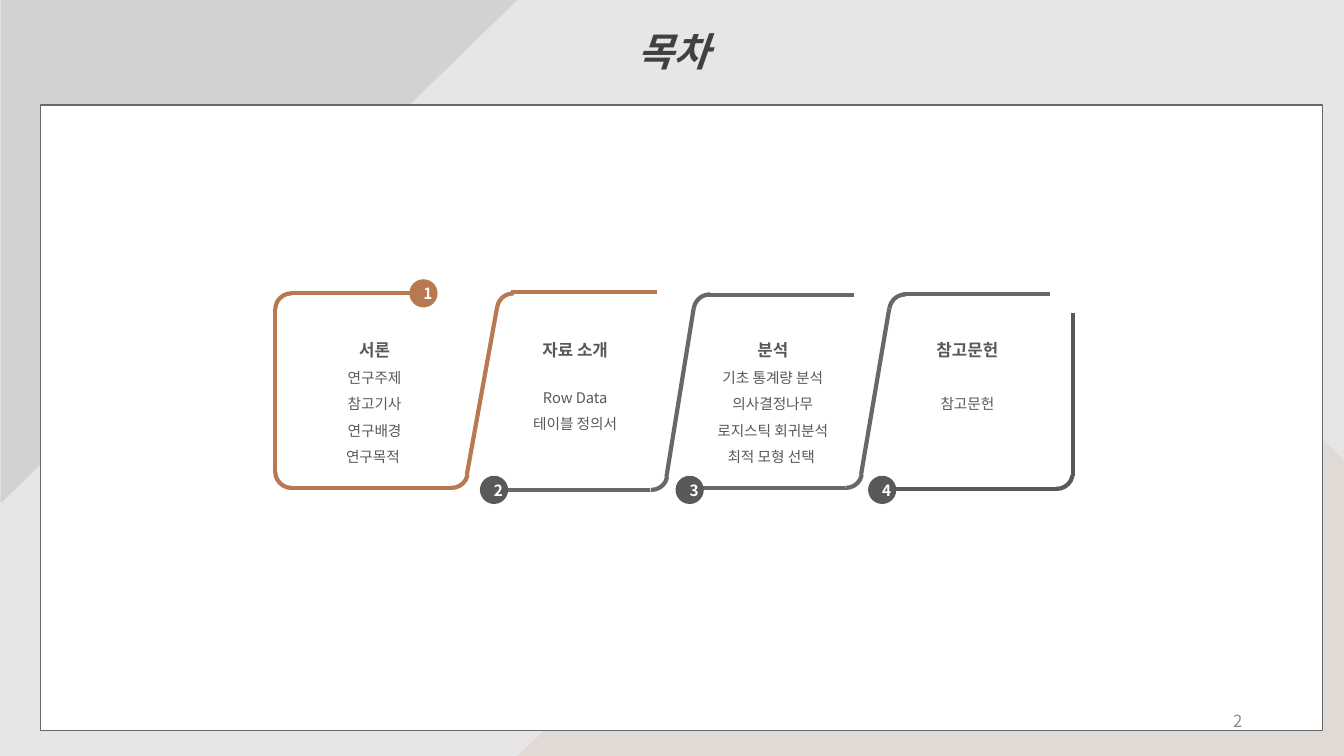
from lxml import etree
from pptx import Presentation
from pptx.dml.color import RGBColor
from pptx.enum.shapes import MSO_CONNECTOR, MSO_SHAPE
from pptx.enum.text import MSO_ANCHOR, MSO_AUTO_SIZE, PP_ALIGN
from pptx.oxml.ns import qn
from pptx.util import Inches, Pt

FONT = "Noto Sans CJK KR"
BACKGROUND = RGBColor(0xE7, 0xE5, 0xE6)
BEIGE = RGBColor(0xE1, 0xDA, 0xD4)
LIGHT_GREY = RGBColor(0xD2, 0xD2, 0xD2)
WHITE = RGBColor(0xFF, 0xFF, 0xFF)
BROWN = RGBColor(0xB8, 0x78, 0x50)
SLATE = RGBColor(0x64, 0x69, 0x6D)
DARK = RGBColor(0x59, 0x59, 0x59)
TITLE_GREY = RGBColor(0x40, 0x40, 0x40)
NUMBER_GREY = RGBColor(0x8C, 0x8C, 0x8C)

CENTER, RIGHT = PP_ALIGN.CENTER, PP_ALIGN.RIGHT
TOP, MIDDLE = MSO_ANCHOR.TOP, MSO_ANCHOR.MIDDLE
GROW = MSO_AUTO_SIZE.SHAPE_TO_FIT_TEXT
STRAIGHT = MSO_CONNECTOR.STRAIGHT
RECT, TRIANGLE = MSO_SHAPE.RECTANGLE, MSO_SHAPE.RIGHT_TRIANGLE
ARC, OVAL = MSO_SHAPE.ARC, MSO_SHAPE.OVAL

ARC_SIZE = 0.32
BADGE_SIZE = 0.28
EDGE_LENGTH = 1.59

# left, top, height, gap before the items in points, heading, items
SECTIONS = [
    (2.82, 3.22, 1.43, 0, "서론", ["연구주제", "참고기사", "연구배경", "연구목적 "]),
    (4.81, 3.22, 1.31, 14.4, "자료 소개", ["Row Data", "테이블 정의서"]),
    (6.77, 3.22, 1.43, 0, "분석",
     ["기초 통계량 분석", "의사결정나무", "로지스틱 회귀분석", "최적 모형 선택 "]),
    (8.70, 3.22, 1.09, 18.9, "참고문헌", ["참고문헌"]),
]
# bottom edge left and y, top arc left and top, top edge y, colour
LINKS = [
    (2.88, 4.84, 4.93, 2.91, 2.90, BROWN),
    (4.86, 4.86, 6.88, 2.92, 2.93, SLATE),
    (6.79, 4.84, 8.82, 2.92, 2.92, SLATE),
]
BADGES = [(4.06, 2.77, BROWN), (4.76, 4.72, DARK), (6.70, 4.72, DARK), (8.61, 4.72, DARK)]


def place(sp, left, top, width, height):
    sp.left, sp.top = Inches(left), Inches(top)
    sp.width, sp.height = Inches(width), Inches(height)


def write(p, text, size, color, bold=False, italic=False, align=CENTER,
          spacing=None, before=0):
    p.alignment = align
    p.line_spacing = spacing
    p.space_before = Pt(before)
    r = p.add_run()
    r.text = text
    r.font.size, r.font.name = Pt(size), FONT
    r.font.bold, r.font.italic = bold, italic
    r.font.color.rgb = color
    etree.SubElement(r.font._element, qn("a:ea"), typeface=FONT)


def add_shape(slide, kind, left, top, width, height, fill=None, line=None, weight=1):
    sp = slide.shapes.add_shape(kind, Inches(left), Inches(top), Inches(width), Inches(height))
    style(sp, fill, line, weight)
    return sp


def style(sp, fill, line=None, weight=1):
    sp.shadow.inherit = False
    if fill is None:
        sp.fill.background()
    else:
        sp.fill.solid()
        sp.fill.fore_color.rgb = fill
    if line is None:
        sp.line.fill.background()
    else:
        sp.line.color.rgb = line
        sp.line.width = Pt(weight)


def add_line(slide, x1, y1, x2, y2, color):
    line = slide.shapes.add_connector(STRAIGHT, Inches(x1), Inches(y1), Inches(x2), Inches(y2))
    line.line.color.rgb = color
    line.line.width = Pt(3)
    etree.SubElement(line._element.spPr, qn("a:effectLst"))


def add_corner(slide, left, top, rotation, color, start=162, end=1.2):
    sp = add_shape(slide, ARC, left, top, ARC_SIZE, ARC_SIZE, line=color, weight=3)
    sp.adjustments[0], sp.adjustments[1] = start, end
    sp.rotation = rotation


def add_bottom_edge(slide, left, y, color):
    add_line(slide, left, y, left + EDGE_LENGTH, y, color)
    add_corner(slide, left + 1.44, y - ARC_SIZE, 90, color, 168.61, 1.46)


def add_link(slide, left, bottom, arc_left, arc_top, top, color):
    add_bottom_edge(slide, left, bottom, color)
    add_line(slide, left + 1.75, bottom - 0.13, arc_left, arc_top + 0.14, color)
    add_corner(slide, arc_left, arc_top, 270, color, 166.35, 1.26)
    add_line(slide, arc_left + 0.14, top, arc_left + EDGE_LENGTH, top, color)


def add_badge(slide, number, left, top, color):
    sp = add_shape(slide, OVAL, left, top, BADGE_SIZE, BADGE_SIZE, fill=color)
    sp.text_frame.vertical_anchor = MIDDLE
    write(sp.text_frame.paragraphs[0], str(number), 11, WHITE, bold=True)


def fill_section(slide, sp, left, top, height, gap, heading, items):
    place(sp, left, top, 1.79, height)
    slide.shapes._spTree.append(sp._element)  # bring in front of the panel
    tf = sp.text_frame
    tf.vertical_anchor, tf.auto_size = TOP, GROW
    for i, text in enumerate([heading] + items):
        p = tf.add_paragraph() if i else tf.paragraphs[0]
        pPr = p._p.get_or_add_pPr()
        pPr.set("marL", "0")
        pPr.set("indent", "0")
        etree.SubElement(pPr, qn("a:buNone"))
        write(p, text, 10.5 if i else 12, DARK, bold=i == 0, spacing=1.5,
              before=gap if i == 1 else 0)


def add_backdrop(slide):
    slide.background.fill.solid()
    slide.background.fill.fore_color.rgb = BACKGROUND
    points = [(10.44, 2.54), (11.3, 2.54), (13.33, 4.57), (13.33, 7.5), (5.13, 7.5)]
    corners = [(Inches(x), Inches(y)) for x, y in points]
    builder = slide.shapes.build_freeform(*corners[0])
    builder.add_line_segments(corners[1:], close=True)
    style(builder.convert_to_shape(), BEIGE)
    add_shape(slide, TRIANGLE, 0.07, -0.07, 5, 5.13, fill=LIGHT_GREY).rotation = 90
    add_shape(slide, RECT, 0.4, 1.04, 12.72, 6.21, fill=WHITE, line=SLATE)


def add_title(slide):
    title = slide.shapes.title
    place(title, 3.35, -0.01, 6.67, 0.72)
    slide.shapes._spTree.append(title._element)
    tf = title.text_frame
    tf.vertical_anchor, tf.auto_size = TOP, GROW
    write(tf.paragraphs[0], "목차", 28, TITLE_GREY, bold=True, italic=True, spacing=1.5)


def add_page_number(slide):
    sp = slide.shapes.add_textbox(Inches(9.42), Inches(6.95), Inches(3), Inches(0.4))
    tf = sp.text_frame
    tf.word_wrap, tf.vertical_anchor = True, MIDDLE
    write(tf.paragraphs[0], "2", 12, NUMBER_GREY, align=RIGHT)


def main():
    prs = Presentation()
    prs.slide_width, prs.slide_height = Inches(13.33), Inches(7.5)
    slide = prs.slides.add_slide(prs.slide_layouts[4])  # title and four bodies

    add_backdrop(slide)
    add_title(slide)
    add_page_number(slide)
    bodies = [sp for sp in slide.placeholders if sp.placeholder_format.idx]
    for sp, section in zip(bodies, SECTIONS):
        fill_section(slide, sp, *section)

    # Opening of the ribbon
    add_line(slide, 2.88, 2.91, 4.14, 2.91, BROWN)
    add_corner(slide, 2.73, 2.91, 270, BROWN)
    add_line(slide, 2.73, 3.07, 2.73, 4.67, BROWN)
    add_corner(slide, 2.73, 4.52, 180, BROWN)

    # Slanted links between the sections
    for link in LINKS:
        add_link(slide, *link)

    # Closing of the ribbon
    add_bottom_edge(slide, 8.88, 4.85, DARK)
    add_line(slide, 10.64, 3.11, 10.64, 4.72, DARK)

    for number, badge in enumerate(BADGES, 1):
        add_badge(slide, number, *badge)

    prs.save("out.pptx")


if __name__ == "__main__":
    main()
